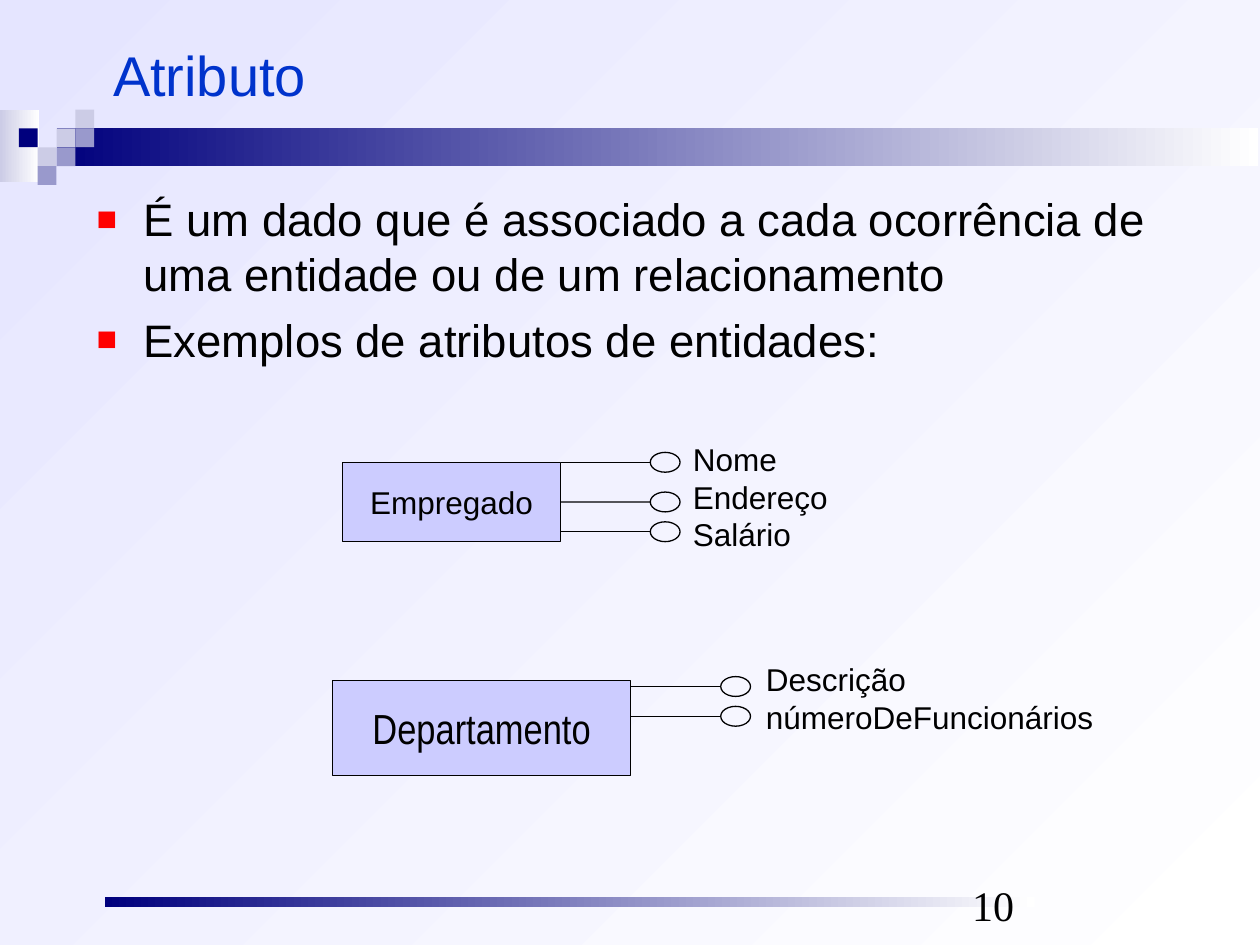
import pptx
import pptx.util
import pptx.dml.color
import pptx.enum.shapes
import pptx.enum.text
import lxml.etree

Cm = pptx.util.Cm
Pt = pptx.util.Pt
RGB = pptx.dml.color.RGBColor.from_string
SHAPES = pptx.enum.shapes.MSO_SHAPE
ANCHOR = pptx.enum.text.MSO_ANCHOR
ALIGN = pptx.enum.text.PP_ALIGN

COLORS = {
    "white": "FFFFFF",
    "background": "E5E5FF",
    "navy": "00007D",
    "pale": "CCCCE6",
    "medium": "9999CC",
    "entity": "CCCCFF",
    "title": "0033CC",
    "bullet": "FF0000",
    "black": "000000",
}


def write_text(frame, lines, size=18, font="Arial", color="black", anchor=ANCHOR.TOP,
               align=ALIGN.LEFT, wrap=True, bullet=None, space=0):
    frame.word_wrap = wrap
    frame.vertical_anchor = anchor
    for index, line in enumerate(lines):
        paragraph = frame.paragraphs[0] if index == 0 else frame.add_paragraph()
        paragraph.alignment = align
        if index and space:
            paragraph.space_before = Pt(space)
        if bullet:
            properties = paragraph._p.get_or_add_pPr()
            properties.set("marL", str(Cm(0.94)))
            properties.set("indent", str(-Cm(0.94)))
            namespace = "{" + properties.nsmap["a"] + "}"
            bullet_color = lxml.etree.SubElement(properties, namespace + "buClr")
            lxml.etree.SubElement(bullet_color, namespace + "srgbClr", val=COLORS["bullet"])
            lxml.etree.SubElement(properties, namespace + "buSzPct", val="75000")
            lxml.etree.SubElement(properties, namespace + "buFont", typeface="Arial")
            lxml.etree.SubElement(properties, namespace + "buChar", char=bullet)
        run = paragraph.add_run()
        run.text = line
        run.font.size = Pt(size)
        run.font.name = font
        run.font.color.rgb = RGB(COLORS[color])


def add_figure(kind, left, top, width, height, fill=None, gradient=None, line=None):
    shape = slide.shapes.add_shape(kind, Cm(left), Cm(top), Cm(width), Cm(height))
    shape.shadow.inherit = False
    if gradient:
        shape.fill.gradient()
        shape.fill.gradient_angle = 180
        for stop, color in zip(shape.fill.gradient_stops, ("white", gradient)):
            stop.color.rgb = RGB(COLORS[color])
    elif fill:
        shape.fill.solid()
        shape.fill.fore_color.rgb = RGB(COLORS[fill])
    else:
        shape.fill.background()
    if line:
        shape.line.color.rgb = RGB(COLORS[line])
        shape.line.width = Pt(0.75)
    else:
        shape.line.fill.background()
    return shape


presentation = pptx.Presentation()
presentation.slide_width = Cm(25.4)
presentation.slide_height = Cm(19.05)
slide = presentation.slides.add_slide(presentation.slide_layouts[6])

background = slide.background.fill
background.gradient()
background.gradient_angle = 135
for stop, color in zip(background.gradient_stops, ("white", "background")):
    stop.color.rgb = RGB(COLORS[color])

for left, top, width, height, color in [
    (0, 2.21, 0.79, 1.47, "pale"),
    (1.14, 2.59, 24.23, 0.76, "navy"),
    (2.11, 18.08, 18.75, 0.2, "navy"),
]:
    add_figure(SHAPES.RECTANGLE, left, top, width, height, gradient=color)

tile = 0.38
for column, row, color in [
    (3, 1, "pale"), (4, 0, "pale"), (4, 1, "medium"), (2, 2, "pale"),
    (1, 1, "navy"), (3, 2, "medium"), (2, 3, "medium"),
]:
    add_figure(SHAPES.RECTANGLE, column * tile, 2.21 + row * tile, tile, tile, fill=color)

title = slide.shapes.add_textbox(Cm(2.03), Cm(0.56), Cm(22.89), Cm(1.85))
write_text(title.text_frame, ["Atributo"], size=32, color="title", anchor=ANCHOR.MIDDLE)

body = slide.shapes.add_textbox(Cm(1.7), Cm(3.73), Cm(22.89), Cm(12.83))
write_text(body.text_frame, [
    "É um dado que é associado a cada ocorrência de uma entidade ou de um relacionamento",
    "Exemplos de atributos de entidades:",
], size=26, bullet="■", space=6.5)

entities = [
    {"name": "Empregado", "size": 18, "font": "Arial", "box": (6.91, 9.32, 4.39, 1.6),
     "ellipse_left": 13.11, "centers": (9.32, 10.12, 10.72),
     "label": (13.72, 8.74, 3.23, 2.54), "attributes": ["Nome", "Endereço", "Salário"]},
    {"name": "Departamento", "size": 24, "font": "Arial Narrow", "box": (6.71, 13.72, 6, 1.91),
     "ellipse_left": 14.53, "centers": (13.84, 14.44),
     "label": (15.19, 13.18, 7.11, 2.54), "attributes": ["Descrição", "númeroDeFuncionários"]},
]
for entity in entities:
    left, top, width, height = entity["box"]
    box = add_figure(SHAPES.RECTANGLE, left, top, width, height, fill="entity", line="black")
    write_text(box.text_frame, [entity["name"]], size=entity["size"], font=entity["font"],
               anchor=ANCHOR.MIDDLE, align=ALIGN.CENTER, wrap=False)
    for center in entity["centers"]:
        add_figure(SHAPES.OVAL, entity["ellipse_left"], center - 0.2, 0.6, 0.4, line="black")
        connector = slide.shapes.add_connector(
            pptx.enum.shapes.MSO_CONNECTOR.STRAIGHT,
            Cm(left + width), Cm(center), Cm(entity["ellipse_left"]), Cm(center))
        if abs(center - top - height / 2) < 0.01:
            connector.begin_connect(box, 3)
        connector.line.color.rgb = RGB(COLORS["black"])
        connector.line.width = Pt(0.75)
        properties = connector._element.spPr
        lxml.etree.SubElement(properties, "{" + properties.nsmap["a"] + "}effectLst")
    label = slide.shapes.add_textbox(*map(Cm, entity["label"]))
    write_text(label.text_frame, entity["attributes"], wrap=False)

page_number = slide.shapes.add_textbox(Cm(19.35), Cm(17.6), Cm(5.92), Cm(1.27))
write_text(page_number.text_frame, ["10"], size=24, font="Times New Roman", anchor=ANCHOR.BOTTOM)

presentation.save("out.pptx")
